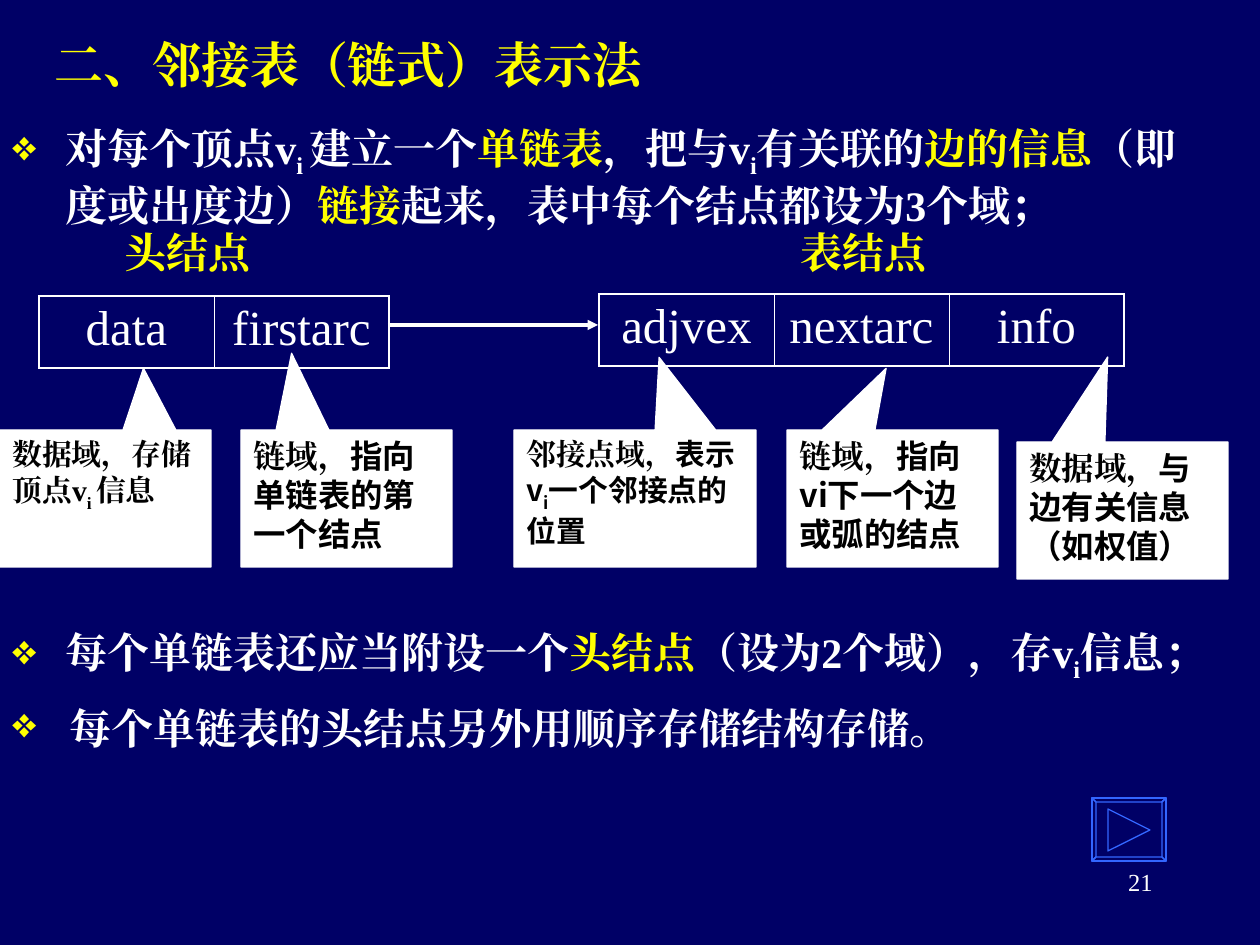
from lxml import etree
from pptx import Presentation
from pptx.dml.color import RGBColor
from pptx.enum.shapes import MSO_CONNECTOR, MSO_SHAPE
from pptx.enum.text import MSO_ANCHOR, PP_ALIGN
from pptx.oxml.ns import qn
from pptx.util import Pt

LEFT, CENTER, RIGHT = PP_ALIGN.LEFT, PP_ALIGN.CENTER, PP_ALIGN.RIGHT
TOP, MIDDLE = MSO_ANCHOR.TOP, MSO_ANCHOR.MIDDLE
CALLOUT, STRAIGHT = MSO_SHAPE.RECTANGULAR_CALLOUT, MSO_CONNECTOR.STRAIGHT

SCALE = 914400 / 126
SERIF, SANS = "Times New Roman", "Noto Sans CJK SC"
COLORS = {"back": "000066", "text": "FFFFFF", "key": "FFFF00",
          "note": "000000", "button": "3366FF"}

# Content: a run is (text, marks); y = key colour, s = subscript, n = sans
# Labels: runs, box, size, colour, bold, alignment, anchor
LABELS = [
    ([("二、邻接表（链式）表示法", "")], (42, 32, 661, 63), 28, "key", True, LEFT, MIDDLE),
    ([("表结点", "")], (788, 220, 168, 63), 24, "key", True, LEFT, TOP),
    ([("头结点", "")], (112, 220, 168, 63), 24, "key", True, LEFT, TOP),
    ([("21", "")], (903, 861, 262, 63), 14, "text", False, RIGHT, TOP),
]
# Bullets: runs, box, hanging indent
BULLETS = [
    ([("对每个顶点v", ""), ("i ", "s"), ("建立一个", ""), ("单链表", "y"),
      ("，把与v", ""), ("i", "s"), ("有关联的", ""), ("边的信息", "y"),
      ("（即度或出度边）", ""), ("链接", "y"),
      ("起来，表中每个结点都设为3个域；", "")], (0, 116, 1207, 121), 53),
    ([("每个单链表还应当附设一个", ""), ("头结点", "y"),
      ("（设为2个域），存v", ""), ("i", "s"), ("信息；", "")], (0, 620, 1260, 71), 53),
    ([("每个单链表的头结点另外用顺序存储结构存储。", "")], (0, 696, 1086, 63), 57),
]
# Node records: fields, left, top
NODES = [(["adjvex", "nextarc", "info"], 599, 294), (["data", "firstarc"], 39, 296)]
FIELD_W, FIELD_H = 175, 72
# Notes: runs, box, size, pointer offset
NOTES = [
    ([("邻接点域，", ""), ("表示v", "n"), ("i", "ns"), ("一个邻接点的位置", "n")],
     (514, 430, 242, 137), 17, (0.1, -1.03)),
    ([("链域，", ""), ("指向vi下一个边或弧的结点", "n")],
     (787, 430, 211, 137), 18.5, (-0.03, -0.95)),
    ([("数据域，", ""), ("与边有关信息（如权值）", "n")],
     (1017, 442, 211, 137), 18.5, (-0.07, -1.12)),
    ([("数据域，存储顶点v", ""), ("i ", "s"), ("信息", "")],
     (0, 430, 211, 137), 17, (0.18, -0.95)),
    ([("链域，", ""), ("指向单链表的第一个结点", "n")],
     (241, 430, 211, 137), 18.5, (-0.26, -1.06)),
]
LINK = (388, 325, 598, 325)
BUTTON, BEVEL = (1092, 798, 1166, 861), 4
PLAY = [(1108, 809), (1150, 830), (1108, 851)]


def emu(*lengths):
    return [round(v * SCALE) for v in lengths]


def rgb(name):
    return RGBColor.from_string(COLORS[name])


def add_element(parent, tag, **attrs):
    return etree.SubElement(parent, qn(tag), attrs)


def write(frame, runs, size, color, bold=True, align=LEFT, anchor=TOP, indent=0):
    frame.word_wrap = True
    frame.vertical_anchor = anchor
    paragraph = frame.paragraphs[0]
    paragraph.alignment = align
    if indent:
        props = paragraph._p.get_or_add_pPr()
        hang = emu(indent)[0]
        props.set("marL", str(hang))
        props.set("indent", str(-hang))
        add_element(add_element(props, "a:buClr"), "a:srgbClr", val=COLORS["key"])
        add_element(props, "a:buChar", char="❖")
    for text, marks in runs:
        run = paragraph.add_run()
        run.text = text
        face = SANS if "n" in marks else SERIF
        style = {"size": Pt(size), "bold": bold, "name": face}
        for key, value in style.items():
            setattr(run.font, key, value)
        run.font.color.rgb = rgb("key" if "y" in marks else color)
        props = run._r.get_or_add_rPr()
        add_element(props, "a:ea", typeface=face)
        if "s" in marks:
            props.set("baseline", "-25000")
    return paragraph


def cell_borders(cell, first, last):
    props = cell._tc.get_or_add_tcPr()
    widths = {"a:lnL": 1.08 if first else 0.45, "a:lnR": 1.08 if last else 0.45,
              "a:lnT": 1.08, "a:lnB": 1.08}
    for place, (tag, width) in enumerate(widths.items()):
        border = etree.Element(qn(tag), w=str(Pt(width)))
        add_element(add_element(border, "a:solidFill"), "a:srgbClr", val=COLORS["text"])
        props.insert(place, border)


def add_node(slide, fields, left, top):
    box = emu(left, top, FIELD_W * len(fields), FIELD_H)
    table = slide.shapes.add_table(1, len(fields), *box).table
    table.first_row = table.horz_banding = False
    for col, field in enumerate(fields):
        table.columns[col].width = emu(FIELD_W)[0]
        cell = table.cell(0, col)
        cell.fill.background()
        # The row is a fixed height, so the cell margin lowers the text
        cell.margin_top = emu(6)[0]
        write(cell.text_frame, [(field, "")], 28, "text", False, CENTER)
        cell_borders(cell, col == 0, col == len(fields) - 1)


def add_note(slide, runs, box, size, pointer):
    note = slide.shapes.add_shape(CALLOUT, *emu(*box))
    note.shadow.inherit = False
    for place, offset in enumerate(pointer):
        note.adjustments[place] = offset
    note.fill.solid()
    note.fill.fore_color.rgb = note.line.color.rgb = rgb("text")
    note.line.width = Pt(0.75)
    write(note.text_frame, runs, size, "note")


def add_link(slide):
    link = slide.shapes.add_connector(STRAIGHT, *emu(*LINK))
    link.line.color.rgb = rgb("text")
    link.line.width = Pt(1.75)
    add_element(link.line._get_or_add_ln(), "a:tailEnd", type="triangle")
    add_element(link._element.spPr, "a:effectLst")


def add_button(slide):
    left, top, right, bottom = BUTTON
    outer = [(left, top), (right, top), (right, bottom), (left, bottom)]
    inner = [(left + BEVEL, top + BEVEL), (right - BEVEL, top + BEVEL),
             (right - BEVEL, bottom - BEVEL), (left + BEVEL, bottom - BEVEL)]
    sides = [[outer[i], outer[(i + 1) % 4], inner[(i + 1) % 4], inner[i]]
             for i in range(4)]
    builder = slide.shapes.build_freeform(*outer[0], scale=SCALE)
    builder.add_line_segments(outer[1:], close=True)
    for outline in sides + [PLAY]:
        builder.move_to(*outline[0])
        builder.add_line_segments(outline[1:], close=True)
    button = builder.convert_to_shape()
    button.shadow.inherit = False
    button.fill.background()
    button.line.color.rgb = rgb("button")
    button.line.width = Pt(0.75)


def main():
    deck = Presentation()
    deck.slide_width, deck.slide_height = emu(1260, 945)
    slide = deck.slides.add_slide(deck.slide_layouts[6])
    slide.background.fill.solid()
    slide.background.fill.fore_color.rgb = rgb("back")

    # Title, node headings and page number
    for runs, box, *style in LABELS:
        write(slide.shapes.add_textbox(*emu(*box)).text_frame, runs, *style)
    # Bulleted statements
    for runs, box, indent in BULLETS:
        frame = slide.shapes.add_textbox(*emu(*box)).text_frame
        write(frame, runs, 24, "text", indent=indent)
    # Node records, their notes and the link between them
    for node in NODES:
        add_node(slide, *node)
    for note in NOTES:
        add_note(slide, *note)
    add_link(slide)
    # Forward button
    add_button(slide)
    deck.save("out.pptx")


if __name__ == "__main__":
    main()
